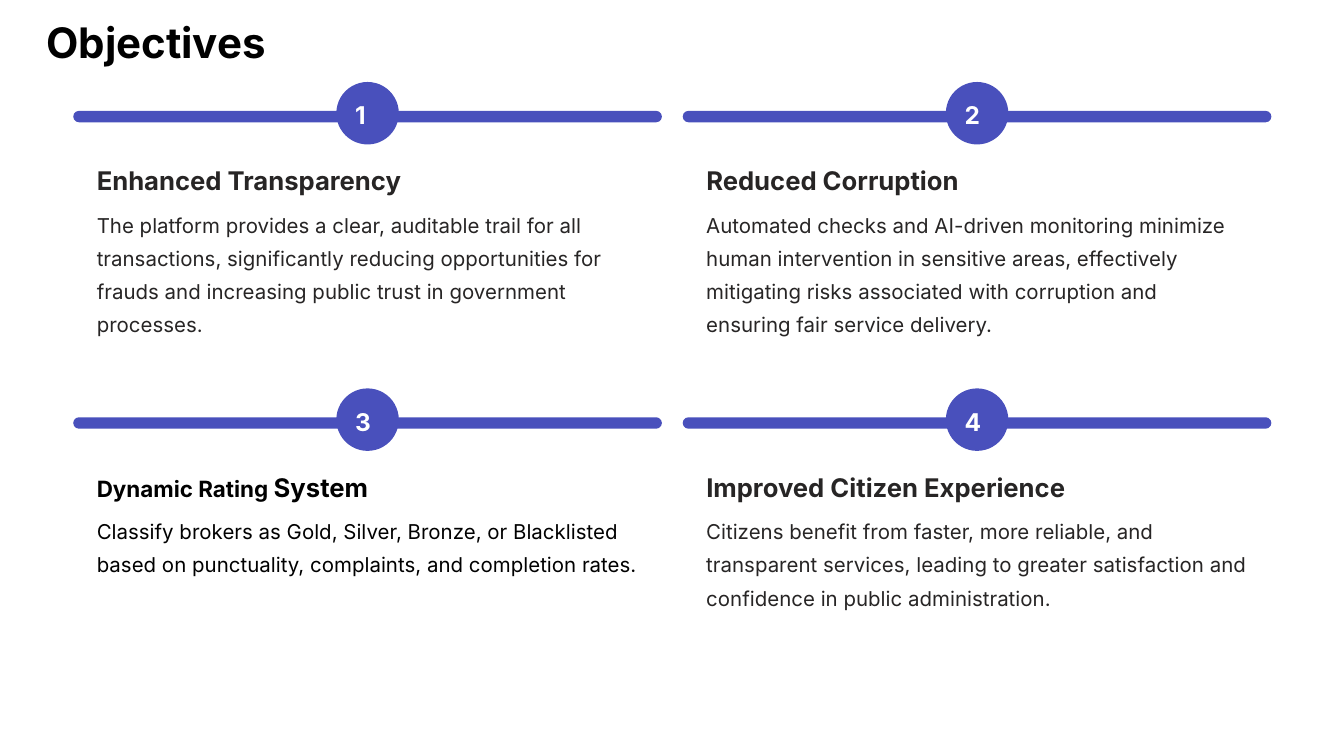
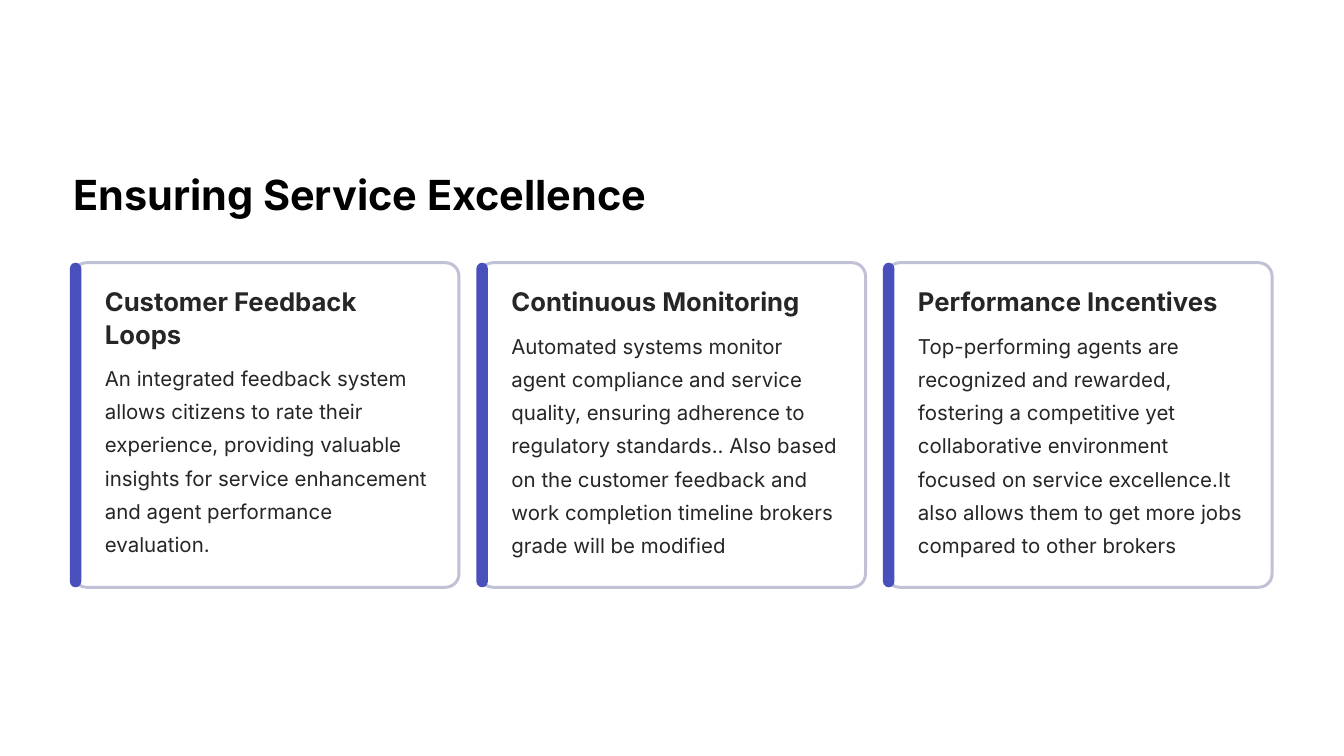
from dataclasses import dataclass

from pptx import Presentation, util as u
from pptx.dml.color import RGBColor
from pptx.enum import shapes, text

Inches, Pt = u.Inches, u.Pt


@dataclass(frozen=True)
class TextStyle:
    size: float
    leading: float
    color: str
    bold: bool = True

    def height(self, lines: int) -> float:
        """Height in inches of this many lines."""
        return lines * self.leading / 72


@dataclass(frozen=True)
class Theme:
    font: str = "Inter"
    white: str = "FFFFFF"
    black: str = "000000"
    ink: str = "272525"
    accent: str = "4950BC"
    outline: str = "C0C1D7"
    title_size: float = 45
    title_leading: float = 56.2
    section_size: float = 44.4
    section_leading: float = 55.6
    number_size: float = 26.2
    number_leading: float = 42.5
    heading_size: float = 27.5
    small_heading_size: float = 24
    heading_leading: float = 34.4
    body_size: float = 21.9
    body_leading: float = 35.6
    bar: float = 0.17
    outline_width: float = 3.2


THEME = Theme()
TITLE = TextStyle(THEME.title_size, THEME.title_leading, THEME.black)
SECTION = TextStyle(THEME.section_size, THEME.section_leading, THEME.black)
NUMBER = TextStyle(THEME.number_size, THEME.number_leading, THEME.white)


@dataclass(frozen=True)
class Box:
    left: float
    top: float
    width: float
    height: float

    def lengths(self) -> tuple:
        return tuple(Inches(v) for v in (self.left, self.top, self.width, self.height))


@dataclass(frozen=True)
class Span:
    text: str
    size: float | None = None


@dataclass(frozen=True)
class Topic:
    heading: tuple[Span, ...]
    heading_width: float
    body: str
    body_lines: int
    heading_lines: int = 1
    color: str = THEME.ink


OBJECTIVES = (
    Topic((Span("Enhanced Transparency"),), 4.6,
          "The platform provides a clear, auditable trail for all transactions, "
          "significantly reducing opportunities for frauds and increasing public "
          "trust in government processes.", 4),
    Topic((Span("Reduced Corruption"),), 3.88,
          "Automated checks and AI-driven monitoring minimize human intervention in "
          "sensitive areas, effectively mitigating risks associated with corruption "
          "and ensuring fair service delivery.", 4),
    Topic((Span("Dynamic Rating ", THEME.small_heading_size), Span("System")), 4.58,
          "Classify brokers as Gold, Silver, Bronze, or Blacklisted based on "
          "punctuality, complaints, and completion rates.", 2, color=THEME.black),
    Topic((Span("Improved Citizen Experience"),), 5.42,
          "Citizens benefit from faster, more reliable, and transparent services, "
          "leading to greater satisfaction and confidence in public administration.", 3),
)
MEASURES = (
    Topic((Span("Customer Feedback Loops"),), 4.91,
          "An integrated feedback system allows citizens to rate their experience, "
          "providing valuable insights for service enhancement and agent performance "
          "evaluation.", 6, heading_lines=2),
    Topic((Span("Continuous Monitoring"),), 4.35,
          "Automated systems monitor agent compliance and service quality, ensuring "
          "adherence to regulatory standards.. Also based on the customer feedback and "
          "work completion timeline brokers grade will be modified", 7),
    Topic((Span("Performance Incentives"),), 4.53,
          "Top-performing agents are recognized and rewarded, fostering a competitive "
          "yet collaborative environment focused on service excellence.It also allows "
          "them to get more jobs compared to other brokers", 7),
)


def add_page(deck):
    page = deck.slides.add_slide(deck.slide_layouts[6])
    fill = page.background.fill
    fill.solid()
    fill.fore_color.rgb = RGBColor.from_string(THEME.white)
    return page


def add_text(page, box: Box, spans: tuple[Span, ...], style: TextStyle,
             inset: tuple[float, float] = (0, 0)) -> None:
    frame = page.shapes.add_textbox(*box.lengths()).text_frame
    frame.word_wrap = True
    frame.auto_size = text.MSO_AUTO_SIZE.SHAPE_TO_FIT_TEXT
    frame.margin_left = frame.margin_right = Inches(inset[0])
    frame.margin_top = frame.margin_bottom = Inches(inset[1])
    para = frame.paragraphs[0]
    para.line_spacing = Pt(style.leading)
    para.font.name = THEME.font
    para.font.size = Pt(style.size)
    para.font.bold = style.bold
    para.font.color.rgb = RGBColor.from_string(style.color)
    for span in spans:
        run = para.add_run()
        run.text = span.text
        if span.size:
            run.font.size = Pt(span.size)


def add_filled(page, kind, box: Box, color: str, outline: str | None = None,
               radius: float | None = None) -> None:
    shape = page.shapes.add_shape(kind, *box.lengths())
    shape.shadow.inherit = False
    shape.fill.solid()
    shape.fill.fore_color.rgb = RGBColor.from_string(color)
    if outline:
        shape.line.color.rgb = RGBColor.from_string(outline)
        shape.line.width = Pt(THEME.outline_width)
    else:
        shape.line.fill.background()
    if radius is not None:
        shape.adjustments[0] = radius / min(box.width, box.height)


def add_bar(page, box: Box) -> None:
    add_filled(page, shapes.MSO_SHAPE.ROUNDED_RECTANGLE, box, THEME.accent,
               radius=THEME.bar / 2)


def add_topic(page, topic: Topic, left: float, top: float, width: float) -> None:
    """Stack the heading and the body text below it."""
    heading = TextStyle(THEME.heading_size, THEME.heading_leading, topic.color)
    body = TextStyle(THEME.body_size, THEME.body_leading, topic.color, bold=False)
    heading_height = heading.height(topic.heading_lines)
    add_text(page, Box(left, top, topic.heading_width, heading_height),
             topic.heading, heading)
    add_text(page, Box(left, top + heading_height + 0.12, width,
                       body.height(topic.body_lines)), (Span(topic.body),), body)


def add_objective(page, number: int, topic: Topic, left: float, top: float) -> None:
    width, badge = 8.76, 0.93
    badge_left = left + (width - badge) / 2
    add_bar(page, Box(left, top + 0.43, width, THEME.bar))
    add_filled(page, shapes.MSO_SHAPE.OVAL, Box(badge_left, top, badge, badge),
               THEME.accent)
    add_text(page, Box(badge_left + 0.28, top + 0.12, 0.37, 0.58),
             (Span(str(number)),), NUMBER)
    add_topic(page, topic, left + 0.35, top + 1.22, 8.06)


def add_measure(page, topic: Topic, left: float, top: float) -> None:
    width, height = 5.74, 4.83
    add_filled(page, shapes.MSO_SHAPE.ROUNDED_RECTANGLE, Box(left, top, width, height),
               THEME.white, THEME.outline, radius=0.2)
    add_bar(page, Box(left - 0.05, top, THEME.bar, height))
    add_topic(page, topic, left + 0.47, top + 0.33, 4.91)


def build_objectives(deck) -> None:
    page = add_page(deck)
    for index, topic in enumerate(OBJECTIVES):
        row, column = divmod(index, 2)
        add_objective(page, index + 1, topic, 1.09 + 9.07 * column, 1.22 + 4.56 * row)
    add_text(page, Box(0.59, 0.16, 9.92, 0.84), (Span("Objectives"),), TITLE,
             inset=(0.1, 0.05))


def build_service_excellence(deck) -> None:
    page = add_page(deck)
    add_text(page, Box(1.09, 2.48, 8.58, 0.81),
             (Span("Ensuring Service Excellence"),), SECTION)
    for column, topic in enumerate(MEASURES):
        add_measure(page, topic, 1.09 + 6.05 * column, 3.91)


def main() -> None:
    deck = Presentation()
    deck.slide_width, deck.slide_height = Inches(20), Inches(11.25)
    build_objectives(deck)
    build_service_excellence(deck)
    deck.save("out.pptx")


if __name__ == "__main__":
    main()
